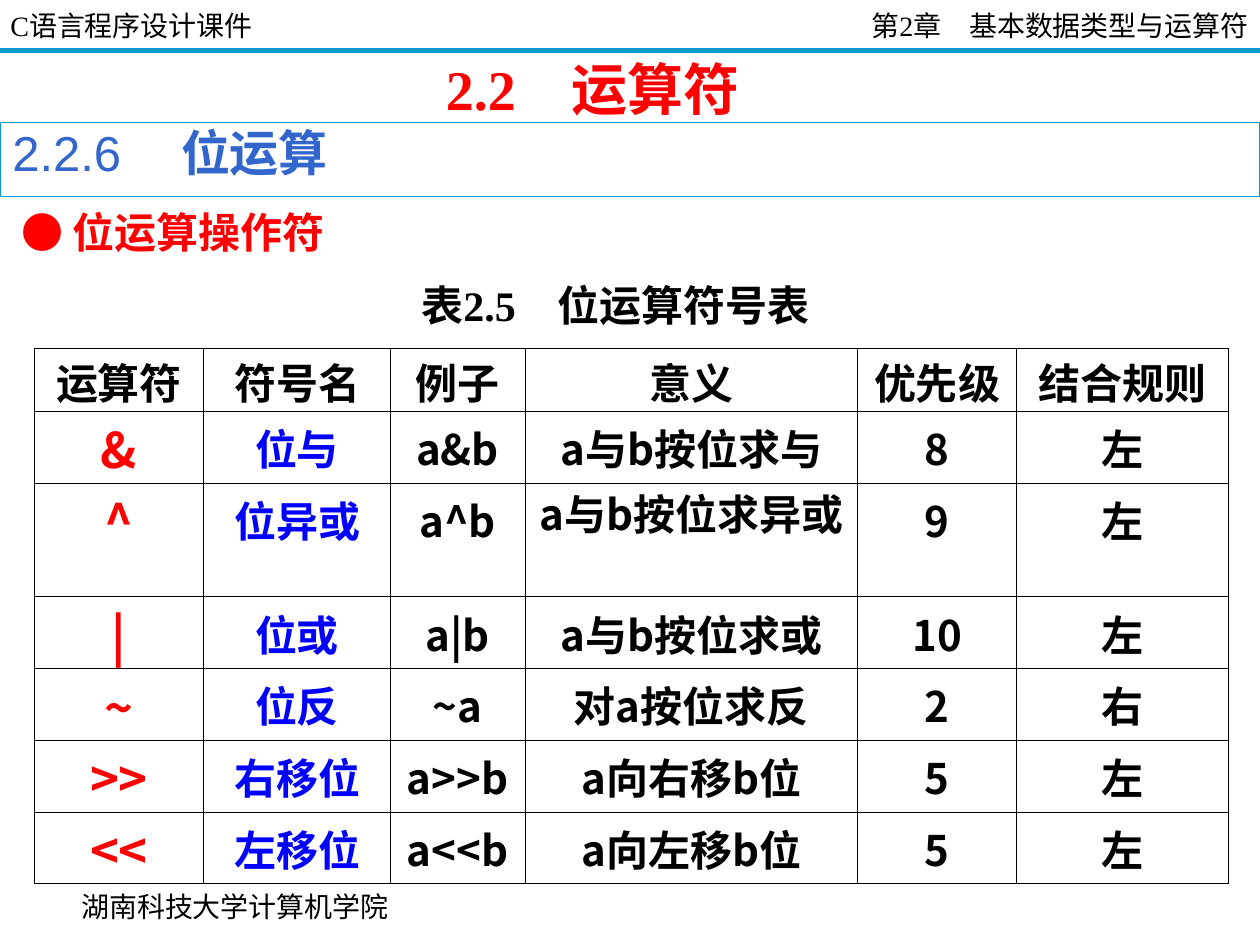
import pptx
import pptx.dml.color
import pptx.enum.shapes
import pptx.enum.text
import pptx.oxml
import pptx.oxml.ns
import pptx.util

Pt = pptx.util.Pt
RGB = pptx.dml.color.RGBColor
ALIGN = pptx.enum.text.PP_ALIGN
ANCHOR = pptx.enum.text.MSO_ANCHOR
qn = pptx.oxml.ns.qn

BLACK = RGB(0x00, 0x00, 0x00)
RED = RGB(0xFF, 0x00, 0x00)
BLUE = RGB(0x00, 0x00, 0xFF)
CYAN = RGB(0x00, 0x99, 0xCC)
STEEL = RGB(0x33, 0x66, 0xCC)
SANS, SERIF, ARIAL = "Noto Sans CJK SC", "Times New Roman", "Arial"
WIDTH, HEIGHT = 720, 540

# Content: a run is (text, font, size, colour, bold)
HEADER = [("C语言程序设计课件\t第2章　基本数据类型与运算符", SERIF, 16, BLACK, False)]
FOOTER = [("湖南科技大学计算机学院", SERIF, 16, BLACK, False)]
TITLE = [("2.2　运算符", SERIF, 32, RED, True)]
SECTION = [("2.2.6　 ", ARIAL, 28, STEEL, False), ("位运算", SANS, 28, STEEL, True)]
TOPIC = [("● 位运算操作符", SANS, 24, RED, True)]
CAPTION = [("表2.5　位运算符号表", SERIF, 24, BLACK, True)]
ROWS = [
    ("运算符", "符号名", "例子", "意义", "优先级", "结合规则"),
    ("&", "位与", "a&b", "a与b按位求与", "8", "左"),
    ("^", "位异或", "a^b", "a与b按位求异或", "9", "左"),
    ("|", "位或", "a|b", "a与b按位求或", "10", "左"),
    ("~", "位反", "~a", "对a按位求反", "2", "右"),
    (">>", "右移位", "a>>b", "a向右移b位", "5", "左"),
    ("<<", "左移位", "a<<b", "a向左移b位", "5", "左"),
]
COLS = [97, 106.5, 77, 190, 91, 121]
HIGH = [36, 41, 65, 41, 41, 41, 41]
WRAPPED = (2, 3)  # the one cell that takes two lines
STYLES = [(28, RED), (24, BLUE)]  # first two columns below the head
PLAIN = (24, BLACK)


def add_runs(para, runs):
    for text, face, size, color, bold in runs:
        run = para.add_run()
        run.text = text
        font = run.font
        font.name, font.size, font.bold = face, Pt(size), bold
        font.color.rgb = color
        latin = font._element.find(qn("a:latin"))
        east = pptx.oxml.parse_xml(
            f'<a:ea {pptx.oxml.ns.nsdecls("a")} typeface="{SANS}"/>')
        latin.addnext(east)


def fill_text(shape, runs, align=ALIGN.LEFT, anchor=ANCHOR.TOP, side=7.2, top=3.6):
    frame = shape.text_frame
    frame.word_wrap = True
    frame.vertical_anchor = anchor
    frame.margin_left = frame.margin_right = Pt(side)
    frame.margin_top, frame.margin_bottom = Pt(top), Pt(3.6)
    para = frame.paragraphs[0]
    para.alignment = align
    add_runs(para, runs)
    return para


def add_text(slide, box, runs, **look):
    return fill_text(slide.shapes.add_textbox(*map(Pt, box)), runs, **look)


def add_edges(cell):
    props = cell._tc.get_or_add_tcPr()
    for side in "LRTB":
        props.append(pptx.oxml.parse_xml(
            f'<a:ln{side} {pptx.oxml.ns.nsdecls("a")} w="{Pt(0.45)}"><a:solidFill>'
            f'<a:srgbClr val="{BLACK}"/></a:solidFill></a:ln{side}>'))


def fill_cell(cell, row, col, text):
    size, color = STYLES[col] if row and col < len(STYLES) else PLAIN
    pitch = 34 if size == 28 else 31
    lines = 2 if (row, col) == WRAPPED else 1
    cell.margin_left = cell.margin_right = Pt(7.2)
    cell.margin_top = Pt(min(7, HIGH[row] - lines * pitch))
    cell.margin_bottom = 0
    add_edges(cell)
    cell.fill.background()
    para = cell.text_frame.paragraphs[0]
    para.alignment = ALIGN.CENTER
    para.line_spacing = Pt(pitch)
    add_runs(para, [(text, SANS, size, color, True)])


def main():
    deck = pptx.Presentation()
    deck.slide_width, deck.slide_height = Pt(WIDTH), Pt(HEIGHT)
    slide = deck.slides.add_slide(deck.slide_layouts[6])

    # Page header, rule and footer
    rule = slide.shapes.add_connector(
        pptx.enum.shapes.MSO_CONNECTOR.STRAIGHT, 0, Pt(28.8), Pt(WIDTH), Pt(28.8))
    rule.line.color.rgb, rule.line.width = CYAN, Pt(3)
    rule._element.spPr.append(pptx.oxml.parse_xml(
        f'<a:effectLst {pptx.oxml.ns.nsdecls("a")}/>'))
    head = add_text(slide, (0, 1.5, WIDTH, 26), HEADER, anchor=ANCHOR.MIDDLE, side=6)
    head._p.get_or_add_pPr().append(pptx.oxml.parse_xml(
        f'<a:tabLst {pptx.oxml.ns.nsdecls("a")}>'
        f'<a:tab pos="{Pt(WIDTH - 12.5)}" algn="r"/></a:tabLst>'))
    add_text(slide, (32.4, 500, 203.8, 36), FOOTER,
             align=ALIGN.CENTER, anchor=ANCHOR.MIDDLE)

    # Title and section bar
    add_text(slide, (247.7, 27.4, 232.6, 46), TITLE)
    bar = slide.shapes.add_shape(
        pptx.enum.shapes.MSO_SHAPE.RECTANGLE, 0, Pt(70), Pt(WIDTH), Pt(42.5))
    bar.shadow.inherit = False
    bar.fill.background()
    bar.line.color.rgb, bar.line.width = CYAN, Pt(0.75)
    fill_text(bar, SECTION, top=0)

    # Topic and table caption
    add_text(slide, (5, 114.5, 698.4, 36), TOPIC)
    add_text(slide, (9.4, 156.2, 684.7, 36), CAPTION,
             align=ALIGN.CENTER, anchor=ANCHOR.MIDDLE)

    # Operator table
    table = slide.shapes.add_table(
        len(ROWS), len(COLS), Pt(19.5), Pt(199), Pt(sum(COLS)), Pt(sum(HIGH))).table
    table.first_row = table.horz_banding = False
    for col, wide in enumerate(COLS):
        table.columns[col].width = Pt(wide)
    for row, texts in enumerate(ROWS):
        table.rows[row].height = Pt(HIGH[row])
        for col, text in enumerate(texts):
            fill_cell(table.cell(row, col), row, col, text)

    deck.save("out.pptx")


if __name__ == "__main__":
    main()
